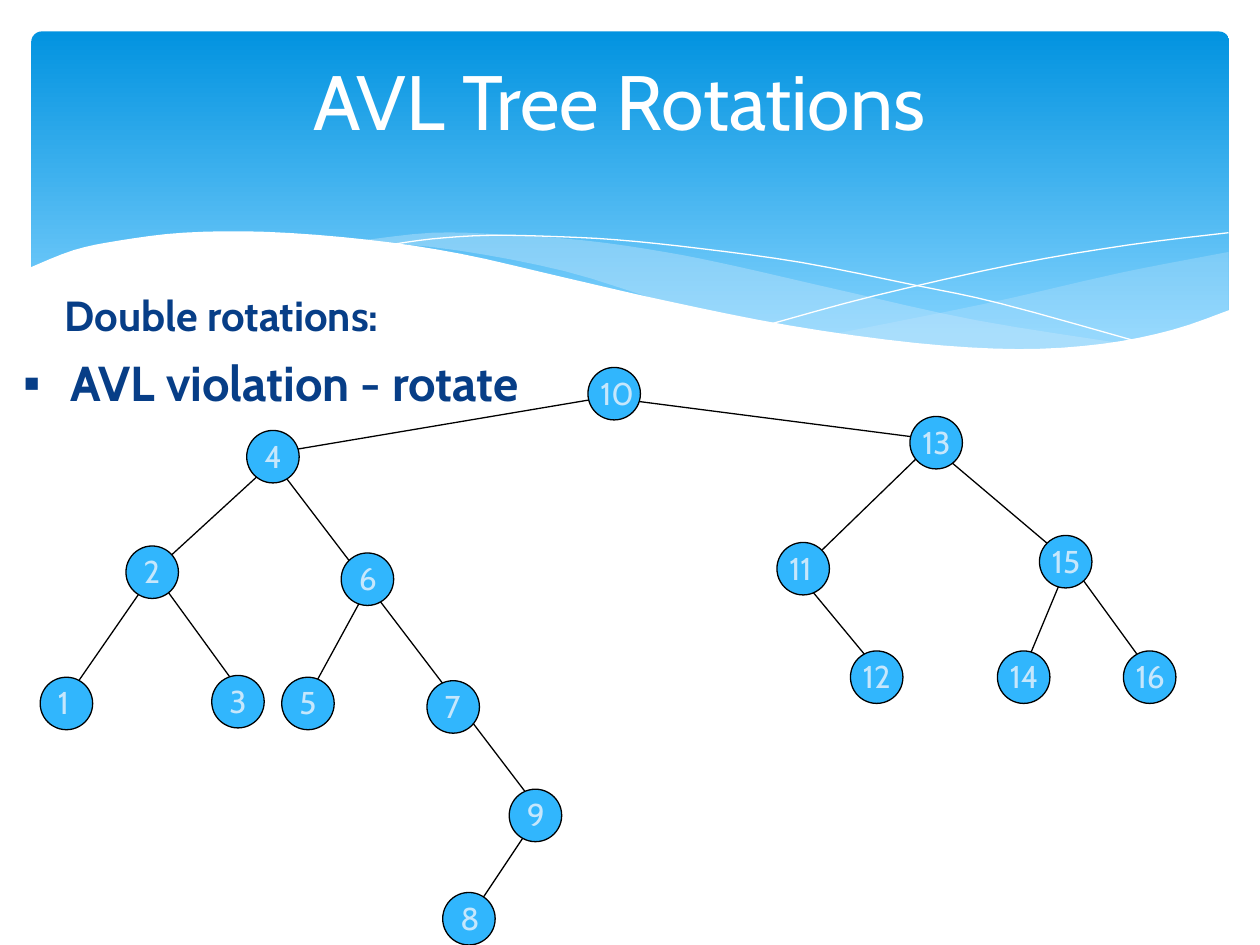
from lxml.etree import SubElement
from pptx import Presentation
from pptx.dml.color import RGBColor
from pptx.enum.shapes import MSO_CONNECTOR as Connector, MSO_SHAPE as Shape
from pptx.enum.text import MSO_ANCHOR as Anchor, MSO_AUTO_SIZE as AutoSize, PP_ALIGN as Align
from pptx.oxml.ns import qn
from pptx.util import Pt

COLORS = {
    "sky": "0293E0", "haze": "83D3FE", "veil": "C6E7FC", "white": "FFFFFF",
    "node": "31B6FD", "label": "C6E7FC", "ink": "000000", "navy": "073E87",
}

RIGHT_VEIL = [
    [(702, 144), (652, 153.5), (620, 160.5), (561, 174), (476, 191)],
    [(476, 191), (537, 198), (578, 200), (615, 199), (658, 193), (702, 178)],
]
BROAD_VEIL = [
    [(643, 196.5), (558, 183), (481, 166), (420, 152), (380, 144), (335, 137.5),
     (287, 134), (247, 133), (206, 137.5)],
    [(206, 137.5), (261, 143), (323, 155), (382, 173), (433, 184), (490, 193.5),
     (539, 198.5), (589, 200), (643, 196.5)],
]
LONG_THREAD = [[(222, 140), (247, 136.5), (278, 134.5), (312, 135), (352, 137), (400, 142),
                (458, 150), (523, 163), (572, 173.5), (653, 196)]]
SHORT_THREAD = [[(441, 185), (500, 169), (580, 151), (645, 140), (702, 133)]]
WHITE_WAVE = [
    [(703, 177), (670, 188.5), (630, 196.5), (582, 199.5), (523, 196), (451, 186), (381, 172),
     (322, 158.5), (263, 145), (210, 137), (152, 132.5), (105, 133), (68, 137.5), (42, 143),
     (17, 153)],
    [(17, 237), (703, 237)],
]

EDGES = [
    ((210, 336), (174, 402)), ((306, 468), (270, 522)), ((90, 324), (36, 402)),
    ((90, 330), (138, 396)), ((156, 264), (84, 330)), ((612, 322), (660, 388)),
    ((456, 328), (504, 386)), ((354, 228), (540, 252)), ((162, 258), (352, 226)),
    ((612, 318), (582, 390)), ((152, 258), (312, 468)), ((534, 252), (468, 316)),
    ((534, 256), (612, 322)),
]
NODES = {
    10: (336, 210), 13: (520, 238), 15: (594, 306), 4: (141, 246), 11: (444, 310),
    2: (72, 312), 6: (195, 316), 7: (244, 389), 12: (486, 372), 14: (570, 372),
    16: (642, 372), 3: (121, 386), 1: (23, 387), 9: (291, 451), 8: (253, 510), 5: (161, 387),
}


def color(name):
    """Return the named colour."""
    return RGBColor.from_string(COLORS[name])


def smooth(knots, steps=4):
    """Return points on a Catmull-Rom curve through the knots."""
    padded = [knots[0], *knots, knots[-1]]
    points = [knots[0]]
    for quad in zip(padded, padded[1:], padded[2:], padded[3:]):
        for step in range(1, steps + 1):
            t = step / steps
            points.append(tuple(
                (2 * b + (c - a) * t + (2 * a - 5 * b + 4 * c - d) * t ** 2
                 + (3 * b - a - 3 * c + d) * t ** 3) / 2
                for a, b, c, d in zip(*quad)))
    return points


class TreeSlide:
    """Hold the style and the current slide."""

    font = "Cabin"
    diameter = 30

    def __init__(self, deck):
        """Add a slide with a title and a body."""
        self.page = deck.slides.add_slide(deck.slide_layouts[1])
        self.shapes = self.page.shapes

    def style_text(self, box, text, size, ink, bold=False):
        """Set and format one paragraph of text."""
        frame = box.text_frame
        frame.text = text
        frame.word_wrap = True
        frame.auto_size = AutoSize.NONE
        para = frame.paragraphs[0]
        for span in para.runs:
            span.font.name, span.font.size, span.font.bold = self.font, Pt(size), bold
            span.font.color.rgb = color(ink)
        return para

    def place(self, holder, left, top, width, height):
        """Move a placeholder and bring it to the front."""
        holder.left, holder.top = Pt(left), Pt(top)
        holder.width, holder.height = Pt(width), Pt(height)
        holder.element.getparent().append(holder.element)

    def text(self, text, left, top, width, height, size, ink, bold=False):
        """Add a text box."""
        box = self.shapes.add_textbox(Pt(left), Pt(top), Pt(width), Pt(height))
        return self.style_text(box, text, size, ink, bold)

    def title(self, text):
        """Fill the title."""
        holder = self.shapes.title
        self.place(holder, 48, 12, 612, 90)
        self.style_text(holder, text, 44, "white").alignment = Align.CENTER
        holder.text_frame.vertical_anchor = Anchor.MIDDLE

    def bullet(self, text):
        """Fill the body with one bulleted line."""
        holder = self.page.placeholders[1]
        self.place(holder, 6, 198, 309, 48)
        para = self.style_text(holder, text, 28, "navy", True)
        para.space_before = Pt(5.6)
        props = para._p.get_or_add_pPr()
        props.set("marL", str(Pt(27)))
        props.set("indent", str(-Pt(27)))
        SubElement(props, qn("a:buChar"), char="▪")

    def banner(self):
        """Add the gradient banner."""
        banner = self.shapes.add_shape(Shape.ROUNDED_RECTANGLE, Pt(18), Pt(18), Pt(684.5), Pt(194.5))
        banner.adjustments[0] = 0.03
        banner.shadow.inherit = False
        banner.line.fill.background()
        banner.fill.gradient()
        banner.fill.gradient_angle = 270
        for stop, name, position in zip(banner.fill.gradient_stops, ("sky", "haze"), (0, 0.9)):
            stop.color.rgb, stop.position = color(name), position

    def outline(self, curves, close):
        """Add a freeform along smoothed curves."""
        points = [(Pt(x), Pt(y)) for knots in curves for x, y in smooth(knots)]
        builder = self.shapes.build_freeform(*points[0])
        builder.add_line_segments(points[1:], close=close)
        shape = builder.convert_to_shape()
        shape.shadow.inherit = False
        return shape

    def wave(self, curves, name, opacity=100):
        """Add a filled wave."""
        shape = self.outline(curves, True)
        shape.line.fill.background()
        shape.fill.solid()
        shape.fill.fore_color.rgb = color(name)
        tone = shape.element.spPr.find(".//" + qn("a:srgbClr"))
        SubElement(tone, qn("a:alpha"), val=str(opacity * 1000))

    def thread(self, curves):
        """Add a thin curved line."""
        shape = self.outline(curves, False)
        shape.fill.background()
        shape.line.color.rgb = color("white")
        shape.line.width = Pt(0)

    def edge(self, start, end):
        """Add a tree edge."""
        line = self.shapes.add_connector(Connector.STRAIGHT, *map(Pt, start + end))
        line.line.color.rgb = color("ink")
        line.line.width = Pt(0.75)
        SubElement(line._element.spPr, qn("a:effectLst"))

    def node(self, value, left, top):
        """Add a tree node with its key."""
        circle = self.shapes.add_shape(Shape.OVAL, Pt(left), Pt(top), Pt(self.diameter), Pt(self.diameter))
        circle.shadow.inherit = False
        circle.fill.solid()
        circle.fill.fore_color.rgb = color("node")
        circle.line.color.rgb = color("ink")
        circle.line.width = Pt(0.75)
        shift = 3 if value < 10 else 0
        self.text(str(value), left + shift, top, 36, 29, 18, "label")


def main():
    """Build and save the deck."""
    deck = Presentation()
    deck.slide_width, deck.slide_height = Pt(720), Pt(540)
    slide = TreeSlide(deck)
    slide.banner()
    slide.wave(RIGHT_VEIL, "veil", 29)
    slide.wave(BROAD_VEIL, "veil", 40)
    slide.thread(LONG_THREAD)
    slide.thread(SHORT_THREAD)
    slide.wave(WHITE_WAVE, "white")
    slide.title("AVL Tree Rotations")
    for start, end in EDGES:
        slide.edge(start, end)
    for value, (left, top) in NODES.items():
        slide.node(value, left, top)
    slide.bullet("AVL violation - rotate")
    heading = slide.text("Double rotations:", 30, 162, 672, 48, 24, "navy", True)
    heading.space_before = Pt(4.8)
    deck.save("out.pptx")


if __name__ == "__main__":
    main()
